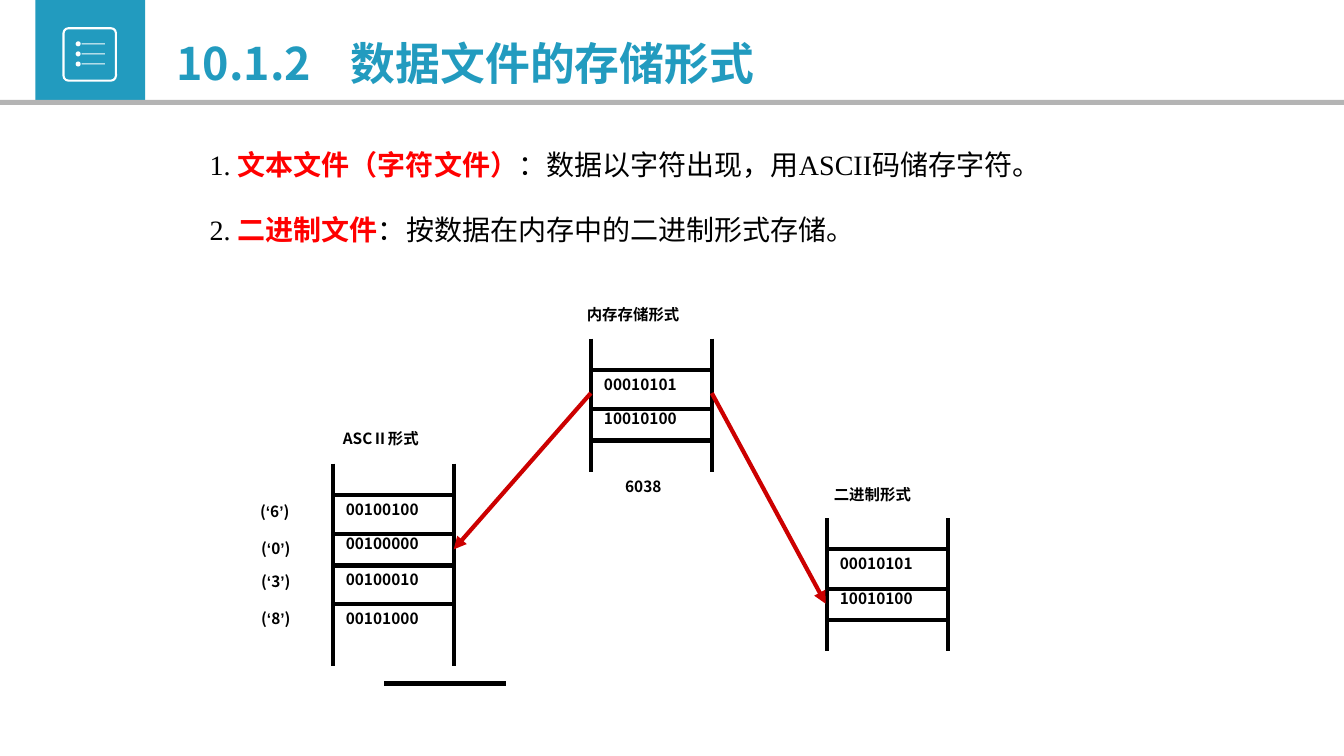
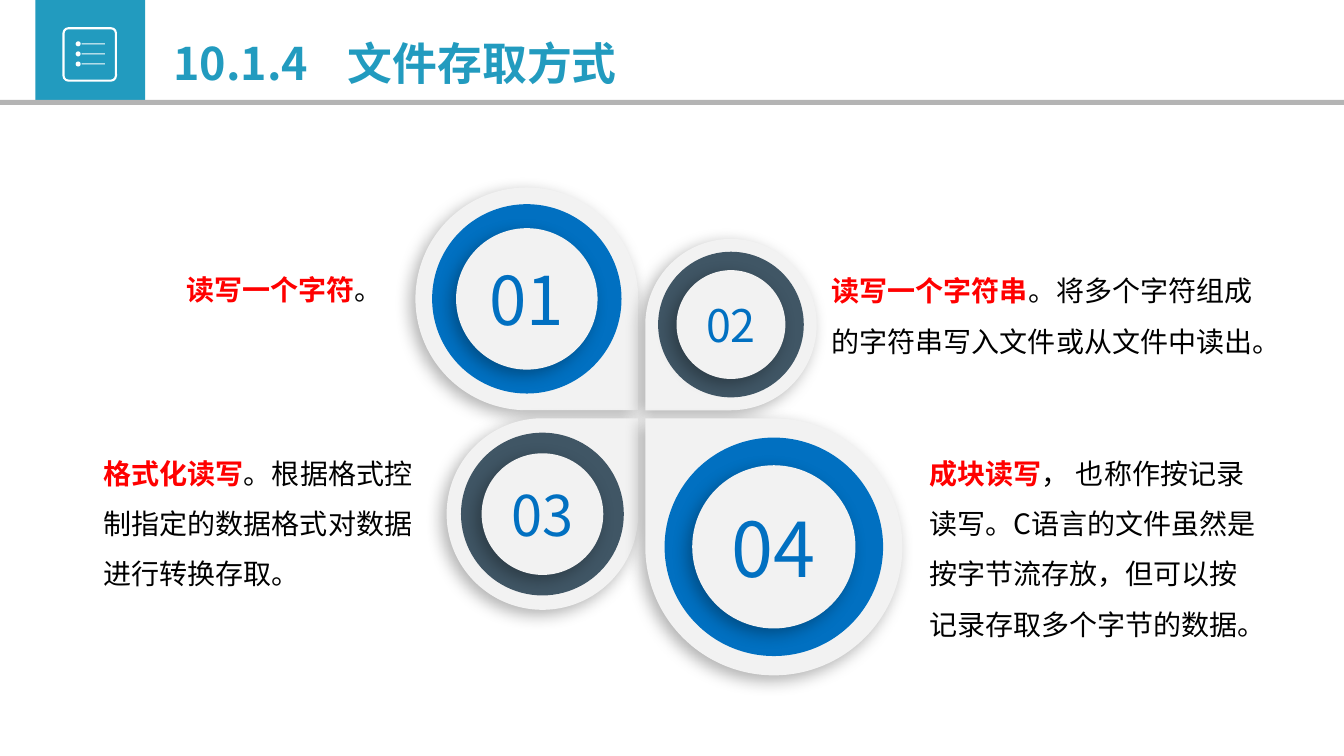
from lxml import etree
from pptx import Presentation
from pptx.dml.color import RGBColor
from pptx.enum.shapes import MSO_CONNECTOR, MSO_SHAPE as SHAPE
from pptx.enum.text import MSO_ANCHOR as ANCHOR, MSO_AUTO_SIZE as AUTO, PP_ALIGN as ALIGN
from pptx.oxml.ns import qn
from pptx.util import Inches, Pt

COLORS = {
    "teal": "229BBF", "gray": "B4B4B4", "white": "FFFFFF", "black": "000000",
    "red": "FF0000", "arrow": "CC0000", "blue": "0170C1", "slate": "405665",
    "pale": "F2F2F2",
}
SANS, SERIF, QUOTE = "Noto Sans CJK SC", "Times New Roman", "Arial"
LABEL = {"size": 11, "bold": True}
BODY = {"size": 20}
KEY = {"size": 20, "bold": True, "color": "red"}


def rgb(name):
    return RGBColor.from_string(COLORS[name])


class Deck:
    """Shared style and the slide being drawn."""

    def __init__(self):
        self.prs = Presentation()
        self.prs.slide_width, self.prs.slide_height = Inches(13.33), Inches(7.5)
        self.s = None

    def slide(self, number, title, left, width):
        self.s = self.prs.slides.add_slide(self.prs.slide_layouts[5])
        self.header()
        sp = self.s.shapes.title
        self.place(sp, left, 0.3, width, 0.64)
        tf = sp.text_frame
        self.frame(tf, vertical_anchor=ANCHOR.TOP, auto_size=AUTO.NONE)
        p = tf.paragraphs[0]
        p.alignment = ALIGN.LEFT
        self.run(p, f"{number}\t{title}", size=32, bold=True, color="teal")
        # Tab stop between section number and title
        tabs = etree.SubElement(p._p.get_or_add_pPr(), qn("a:tabLst"))
        etree.SubElement(tabs, qn("a:tab"), pos=str(Inches(1.73)), algn="l")

    def header(self):
        self.shape(SHAPE.RECTANGLE, 0.35, 0, 1.09, 0.99, "teal")
        icon = self.shape(SHAPE.ROUNDED_RECTANGLE, 0.63, 0.28, 0.52, 0.52, None)
        icon.adjustments[0] = 0.095
        icon.line.color.rgb, icon.line.width = rgb("white"), Pt(1.5)
        for i in range(3):
            y = 0.41 + 0.1 * i
            self.shape(SHAPE.OVAL, 0.75, y, 0.05, 0.05, "white")
            self.shape(SHAPE.RECTANGLE, 0.81, y + 0.02, 0.23, 0.01, "white")
        self.shape(SHAPE.RECTANGLE, 0, 0.99, 13.33, 0.05, "gray")

    def place(self, sp, left, top, width, height):
        box = {"left": left, "top": top, "width": width, "height": height}
        for name, value in box.items():
            setattr(sp, name, Inches(value))

    def frame(self, tf, inset=(0.1, 0.05), **settings):
        x, y = map(Inches, inset)
        values = {"word_wrap": True, "margin_left": x, "margin_right": x,
                  "margin_top": y, "margin_bottom": y, **settings}
        for name, value in values.items():
            setattr(tf, name, value)

    def run(self, p, text, size, bold=False, color="black", font=SANS):
        r = p.add_run()
        r.text = text
        for name, value in {"size": Pt(size), "bold": bold, "name": font}.items():
            setattr(r.font, name, value)
        r.font.color.rgb = rgb(color)
        etree.SubElement(r._r.get_or_add_rPr(), qn("a:ea"), typeface=SANS)

    def shape(self, kind, left, top, width, height, fill, shadow=False):
        sp = self.s.shapes.add_shape(kind, *map(Inches, (left, top, width, height)))
        if fill:
            sp.fill.solid()
            sp.fill.fore_color.rgb = rgb(fill)
        else:
            sp.fill.background()
        sp.line.fill.background()
        sp.shadow.inherit = False
        if shadow:
            effects = sp._element.spPr.find(qn("a:effectLst"))
            outer = etree.SubElement(
                effects, qn("a:outerShdw"), blurRad=str(Pt(12)), dist=str(Pt(5)),
                dir=str(135 * 60000), algn="tr", rotWithShape="0")
            tint = etree.SubElement(outer, qn("a:srgbClr"), val=COLORS["black"])
            etree.SubElement(tint, qn("a:alpha"), val="30000")
        return sp

    def line(self, x1, y1, x2, y2, color="black", arrow=False):
        ln = self.s.shapes.add_connector(
            MSO_CONNECTOR.STRAIGHT, *map(Inches, (x1, y1, x2, y2)))
        ln.line.color.rgb, ln.line.width = rgb(color), Pt(3)
        if arrow:
            etree.SubElement(ln.line._get_or_add_ln(), qn("a:tailEnd"), type="triangle")
        etree.SubElement(ln._element.spPr, qn("a:effectLst"))

    def text(self, left, top, width, height, paragraphs, inset=(0.1, 0.05),
             indent=0, **settings):
        sp = self.s.shapes.add_textbox(*map(Inches, (left, top, width, height)))
        tf = sp.text_frame
        self.frame(tf, inset)
        for i, runs in enumerate(paragraphs):
            p = tf.add_paragraph() if i else tf.paragraphs[0]
            for name, value in settings.items():
                setattr(p, name, value)
            if indent:
                p._p.get_or_add_pPr().set("marL", str(Inches(indent)))
            for words, style in runs:
                self.run(p, words, **style)

    def label(self, left, top, width, *runs):
        self.text(left, top, width, 0.35, [runs], inset=(0.05, 0.05))

    def memory(self, left, top, height, cells):
        """An open-ended memory column with one byte per cell."""
        rules, bytes_top = (0.31, 0.7, 1.01, 1.39), (0.31, 0.65, 1.01, 1.39)
        right = left + 1.2
        for x in (left, right):
            self.line(x, top, x, top + height)
        for dy in rules[:max(3, len(cells))]:
            self.line(left, top + dy, right, top + dy)
        for dy, cell in zip(bytes_top, cells):
            self.label(left + 0.08, top + dy, 1.04, (cell, LABEL))

    def drop(self, number, size, font_size, ring, right, below):
        """A numbered drop whose point faces the centre of the slide."""
        left = 6.4 if right else 6.33 - size
        top = 4.15 if below else 4.07 - size
        sp = self.shape(SHAPE.TEAR, left, top, size, size, "pale", shadow=True)
        sp.rotation = {(0, 0): 90, (1, 0): 180, (0, 1): 0, (1, 1): 270}[right, below]
        for ratio, color in ((0.85, ring), (0.635, "pale")):
            d, gap = size * ratio, size * (1 - ratio) / 2
            sp = self.shape(SHAPE.OVAL, left + gap, top + gap, d, d, color,
                            shadow=color == "pale")
        tf = sp.text_frame
        self.frame(tf, (0, 0), word_wrap=False, vertical_anchor=ANCHOR.MIDDLE)
        tf.paragraphs[0].alignment = ALIGN.CENTER
        self.run(tf.paragraphs[0], number, size=font_size, color="blue")


def storage_slide(deck):
    deck.slide("10.1.2", "数据文件的存储形式", 1.65, 6.2)

    # Memory columns and their labels
    deck.memory(3.3, 4.6, 2.01, ["00100100", "00100000", "00100010", "00101000"])
    deck.line(3.81, 6.78, 5.02, 6.78)
    deck.memory(5.86, 3.36, 1.32, ["00010101", "10010100"])
    deck.memory(8.2, 5.14, 1.32, ["00010101", "10010100"])
    for left, top, width, words in (
            (3.35, 4.21, 1.1, "ASCⅡ形式"), (5.77, 2.98, 1.38, "内存存储形式"),
            (6.15, 4.68, 0.58, "6038"), (8.22, 4.76, 1.17, "二进制形式")):
        deck.label(left, top, width, (words, LABEL))

    # Characters beside the ASCII column
    quote = {**LABEL, "font": QUOTE}
    for digit, left, top in (("6", 2.53, 4.93), ("0", 2.54, 5.3),
                             ("3", 2.54, 5.63), ("8", 2.54, 5.99)):
        deck.label(left, top, 0.49, ("(", LABEL), ("‘", quote), (digit, LABEL),
                   ("’", quote), (")", LABEL))

    # Arrows from memory to both file forms
    deck.line(5.86, 3.9, 4.5, 5.45, "arrow", arrow=True)
    deck.line(7.06, 3.9, 8.19, 5.99, "arrow", arrow=True)

    # Definitions
    body, key = {**BODY, "font": SERIF}, {**KEY, "font": SERIF}
    deck.text(1.44, 1.25, 9.85, 1.28, [
        [("1. ", body), ("文本文件（字符文件）", key),
         ("：数据以字符出现，用ASCII码储存字符。", body)],
        [("2. ", body), ("二进制文件", key),
         ("：按数据在内存中的二进制形式存储。", body)],
    ], indent=0.54, alignment=ALIGN.JUSTIFY, line_spacing=1.5, space_before=Pt(10))


def access_slide(deck):
    deck.slide("10.1.4", "文件存取方式", 1.62, 4.9)

    # Drops: number, size, font size, ring colour, right half, lower half
    for drop in (("01", 2.21, 48, "blue", 0, 0), ("02", 1.7, 32, "slate", 1, 0),
                 ("03", 1.9, 40, "slate", 0, 1), ("04", 2.55, 54, "blue", 1, 1)):
        deck.drop(*drop)

    # Explanations
    for box, key, body in (
            ((1.75, 2.49, 2.24, 0.61), "读写一个字符", "。"),
            ((8.15, 2.5, 4.5, 1.11), "读写一个字符串",
             "。将多个字符组成的字符串写入文件或从文件中读出。"),
            ((0.93, 4.31, 3.33, 1.62), "格式化读写",
             "。根据格式控制指定的数据格式对数据进行转换存取。"),
            ((9.12, 4.31, 3.53, 2.12), "成块读写",
             "， 也称作按记录读写。C语言的文件虽然是按字节流存放，"
             "但可以按记录存取多个字节的数据。")):
        deck.text(*box, [[(key, KEY), (body, BODY)]], line_spacing=1.5)


def main():
    deck = Deck()
    storage_slide(deck)
    access_slide(deck)
    deck.prs.save("out.pptx")


if __name__ == "__main__":
    main()
